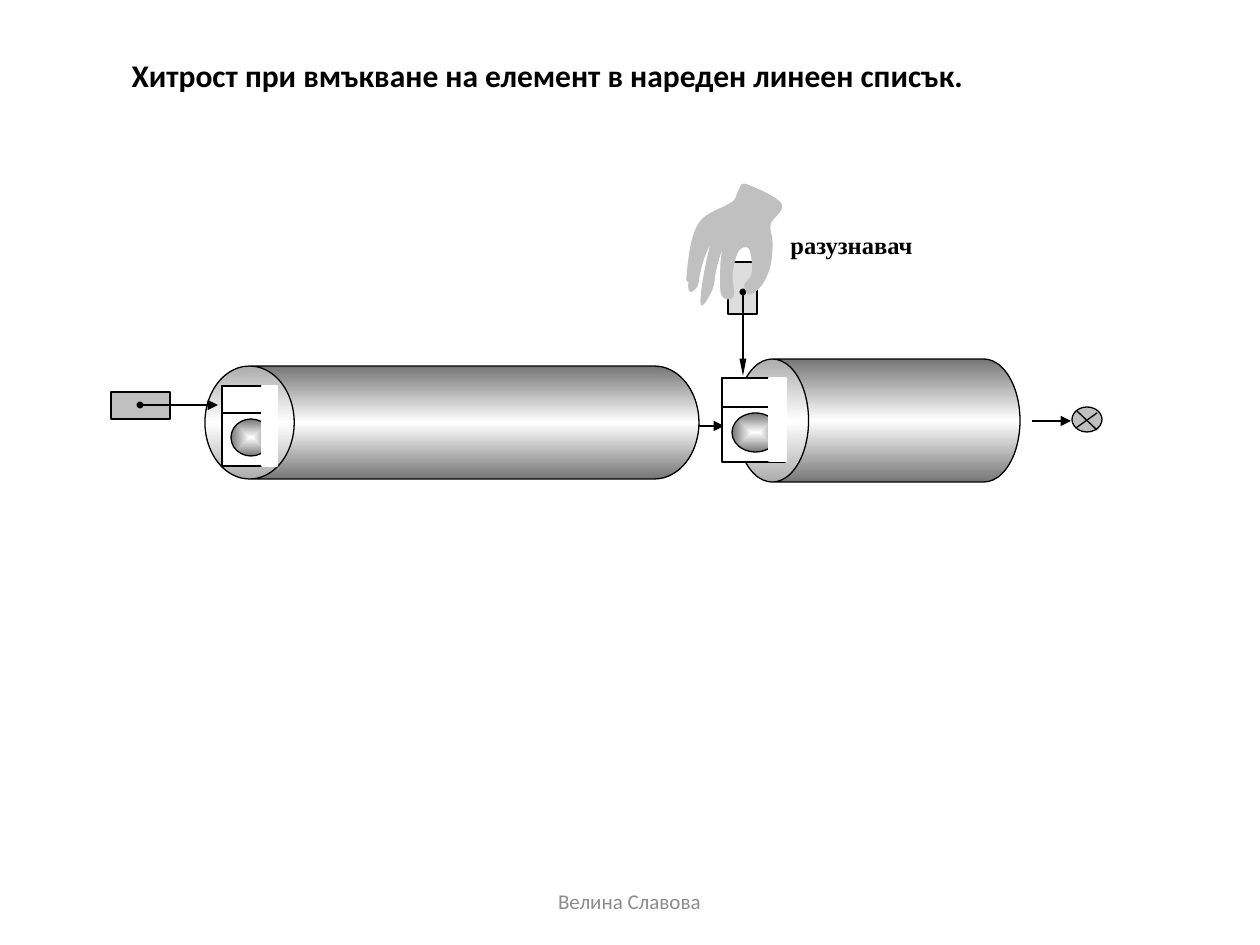
from lxml import etree
from pptx import Presentation
from pptx.dml.color import RGBColor
from pptx.enum.shapes import MSO_CONNECTOR, MSO_SHAPE as SHAPE
from pptx.enum.text import MSO_ANCHOR as ANCHOR, PP_ALIGN as ALIGN
from pptx.oxml import parse_xml
from pptx.oxml.ns import nsdecls, qn
from pptx.util import Pt

PX = 914400 / 126
BLACK, WHITE, SILVER, PALE, DARK = "000000", "FFFFFF", "C0C0C0", "DDDDDD", "767676"

# Content: text, box, font, size, colour, bold, alignment, anchor, wrap
TITLE = ("Хитрост при вмъкване на елемент в нареден линеен списък.",
         (119, 51, 941, 47), "Calibri", 18, BLACK, True, ALIGN.JUSTIFY, ANCHOR.MIDDLE, False)
LABELS = [
    ("разузнавач", (778, 224, 348, 98), "Times New Roman", 14, BLACK, True,
     ALIGN.LEFT, ANCHOR.TOP, True),
    ("Велина Славова", (430, 876, 399, 50), "Calibri", 12, "8C8C8C", False,
     ALIGN.CENTER, ANCHOR.MIDDLE, True),
]

# List parts: cylinder box and cap ratio, then the node at its front
FIRST_CAN = ((205, 366, 494, 113), 0.79)
SECOND_CAN = ((736, 359, 284, 123), 0.59)
# Node: left, top, width, head height, body height, ball box, cover box
FIRST_NODE = (222, 386, 54, 27, 53, (231, 419, 40, 37), (262, 386, 15, 80))
SECOND_NODE = (722, 378, 63, 29, 55, (732, 413, 47, 39), (769, 378, 17, 83))
HEAD_POINTER = (111, 392, 59, 27)
SCOUT_POINTER = (728, 262, 29, 52)
LIST_END = (1072, 407, 30, 25)
LIST_END_CROSS = [((1077, 411), (1097, 430)), ((1097, 413), (1076, 428))]

HAND = [
    (728, 205), (703, 219), (692, 242), (687, 280), (692, 270), (697, 249), (701, 238),
    (690, 276), (690, 291), (697, 286), (699, 276), (703, 260), (711, 242), (706, 266),
    (702, 290), (702, 305), (712, 289), (716, 268), (723, 246), (721, 266), (722, 295),
    (733, 296), (732, 273), (738, 251), (748, 247), (752, 258), (752, 275), (745, 285),
    (750, 294), (762, 284), (770, 265), (772, 242), (770, 224), (781, 204), (747, 185),
    (740, 189), (735, 200),
]


def color(hex_text):
    return RGBColor.from_string(hex_text)


def emu(lengths):
    return [round(length * PX) for length in lengths]


def paint(shape, fill, line=BLACK):
    shape.shadow.inherit = False
    if fill:
        shape.fill.solid()
        shape.fill.fore_color.rgb = color(fill)
    shape.line.color.rgb = color(line)
    shape.line.width = Pt(0.75)


def add_part(kind, box, fill, line=BLACK):
    shape = page.shapes.add_shape(kind, *emu(box))
    paint(shape, fill, line)
    return shape


def set_gradient(shape, stops, direction):
    marks = "".join(f'<a:gs pos="{position * 1000}"><a:srgbClr val="{shade}"/></a:gs>'
                    for position, shade in stops)
    gradient = parse_xml(f'<a:gradFill {nsdecls("a")} rotWithShape="1">'
                         f"<a:gsLst>{marks}</a:gsLst>{direction}</a:gradFill>")
    shape.fill.background()
    empty = shape._element.spPr.find(qn("a:noFill"))
    empty.getparent().replace(empty, gradient)


def add_can(box, cap):
    # The cylinder stands upright and is turned on its side about its centre
    left, top, width, height = box
    shift = (width - height) / 2
    can = add_part(SHAPE.CAN, (left + shift, top - shift, height, width), None)
    can.rotation = 270
    can.adjustments[0] = cap
    set_gradient(can, [(0, DARK), (50, WHITE), (100, DARK)], '<a:lin ang="0" scaled="1"/>')


def add_node(left, top, width, head, body, ball_box, cover):
    add_part(SHAPE.RECTANGLE, (left, top, width, head), WHITE)
    add_part(SHAPE.RECTANGLE, (left, top + head, width, body), WHITE)
    ball = add_part(SHAPE.OVAL, ball_box, None)
    set_gradient(ball, [(0, WHITE), (100, DARK)],
                 '<a:path path="shape"><a:fillToRect l="50000" t="50000" '
                 'r="50000" b="50000"/></a:path>')
    add_part(SHAPE.RECTANGLE, cover, WHITE, WHITE)


def add_line(start, end, dot=False, arrow=None):
    line = page.shapes.add_connector(MSO_CONNECTOR.STRAIGHT, *emu(start + end))
    line.line.color.rgb = color(BLACK)
    line.line.width = Pt(0.75)
    properties = line._element.spPr
    if dot:
        etree.SubElement(properties.find(qn("a:ln")), qn("a:headEnd"), type="oval",
                         w="sm", len="sm")
    if arrow:
        width, length = arrow
        etree.SubElement(properties.find(qn("a:ln")), qn("a:tailEnd"),
                         type="triangle", w=width, len=length)
    etree.SubElement(properties, qn("a:effectLst"))


def add_hand():
    points = [emu(point) for point in HAND]
    builder = page.shapes.build_freeform(*points[0])
    builder.add_line_segments(points[1:] + points[:1], close=True)
    hand = builder.convert_to_shape()
    paint(hand, SILVER, SILVER)
    # Each straight side becomes a curve that passes smoothly through the points
    count = len(points)
    for index, side in enumerate(list(hand._element.iter(qn("a:lnTo")))[:count]):
        before, start, end, after = (points[(index + step) % count] for step in (-1, 0, 1, 2))
        controls = ([s + (e - b) / 6 for b, s, e in zip(before, start, end)],
                    [e - (a - s) / 6 for s, e, a in zip(start, end, after)], end)
        curve = etree.Element(qn("a:cubicBezTo"))
        for x, y in controls:
            etree.SubElement(curve, qn("a:pt"), x=str(round(x - hand.left)),
                             y=str(round(y - hand.top)))
        side.getparent().replace(side, curve)


def write(shape, text, box, font, size, shade, bold, align, anchor, wrap):
    shape.left, shape.top, shape.width, shape.height = emu(box)
    frame = shape.text_frame
    frame.text = text
    frame.word_wrap = wrap
    frame.vertical_anchor = anchor
    para = frame.paragraphs[0]
    para.alignment = align
    span = para.runs[0].font
    span.name, span.size, span.bold = font, Pt(size), bold
    span.color.rgb = color(shade)


deck = Presentation()
deck.slide_width, deck.slide_height = emu((1260, 945))
page = deck.slides.add_slide(deck.slide_layouts[5])
write(page.shapes.title, *TITLE)

# First part of the list, with the pointer to its head
add_line((690, 426), (724, 426), arrow=("med", "med"))
add_can(*FIRST_CAN)
add_part(SHAPE.RECTANGLE, HEAD_POINTER, SILVER)
add_line((140, 405), (218, 405), dot=True, arrow=("med", "med"))
add_node(*FIRST_NODE)

# Second part of the list and its end mark
add_can(*SECOND_CAN)
add_node(*SECOND_NODE)
add_part(SHAPE.OVAL, LIST_END, SILVER)
for start, end in LIST_END_CROSS:
    add_line(start, end)
add_line((1032, 421), (1071, 421), arrow=("med", "med"))

# Scout pointer held by the hand
add_part(SHAPE.RECTANGLE, SCOUT_POINTER, PALE)
add_line((743, 292), (743, 376), dot=True, arrow=("sm", "lg"))
add_hand()

for label in LABELS:
    write(page.shapes.add_textbox(0, 0, 0, 0), *label)

deck.save("out.pptx")
